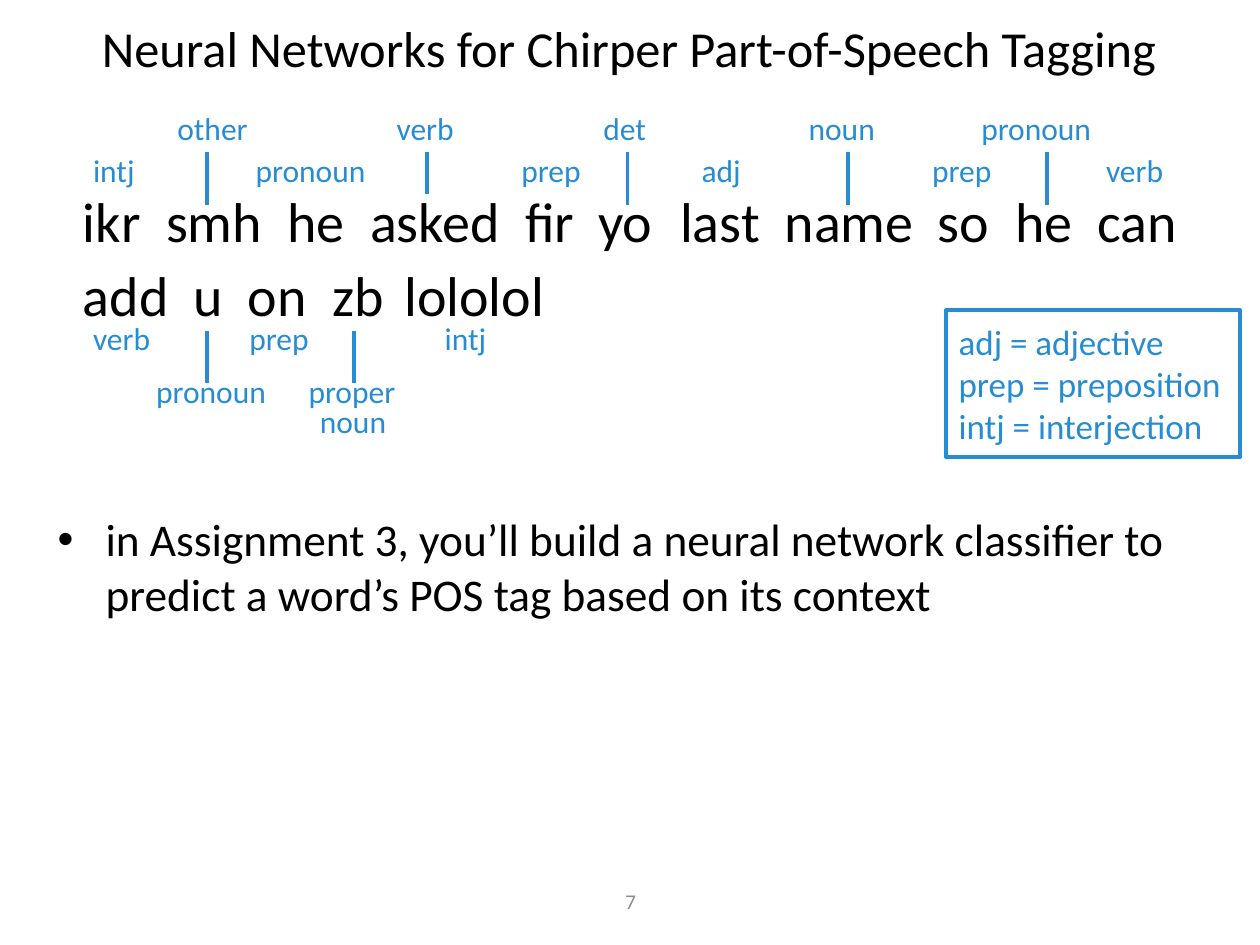
from lxml.etree import SubElement
from pptx import Presentation
from pptx.dml.color import RGBColor
from pptx.enum.shapes import MSO_CONNECTOR as CONNECTOR, MSO_SHAPE as SHAPE
from pptx.enum.text import MSO_ANCHOR as ANCHOR, PP_ALIGN as ALIGN
from pptx.oxml.ns import qn
from pptx.util import Inches, Pt

THEME = {
    "font": "Calibri",
    "black": RGBColor(0, 0, 0),
    "blue": RGBColor(0x28, 0x8C, 0xD2),
    "gray": RGBColor(0x8C, 0x8C, 0x8C),
    "title": Pt(28.8),
    "sentence": Pt(32),
    "body": Pt(25.9),
    "legend": Pt(20),
    "tag": Pt(18),
    "number": Pt(12),
    "line": Pt(2.25),
}


def fill_text(shape, text, size, color, align=ALIGN.LEFT, anchor=ANCHOR.TOP):
    text_frame = shape.text_frame
    text_frame.text = text
    text_frame.word_wrap = True
    text_frame.vertical_anchor = anchor
    for paragraph in text_frame.paragraphs:
        paragraph.alignment = align
        for run in paragraph.runs:
            run.font.name = THEME["font"]
            run.font.size = THEME[size]
            run.font.color.rgb = THEME[color]
    return text_frame.paragraphs


def add_tabbed_text(box, lines, size, color, spacing):
    shape = slide.shapes.add_textbox(*map(Inches, box))
    text = "\n".join("\t".join(words) for words, starts in lines)
    paragraphs = fill_text(shape, text, size, color)
    for paragraph, (words, starts) in zip(paragraphs, lines):
        paragraph.line_spacing = spacing
        tabs = SubElement(paragraph._p.get_or_add_pPr(), qn("a:tabLst"))
        for start in starts:
            position = Inches(start - box[0] - 0.1)
            SubElement(tabs, qn("a:tab"), pos=str(position), algn="l")
    return paragraphs


presentation = Presentation()
presentation.slide_width = Inches(10)
presentation.slide_height = Inches(7.5)
slide = presentation.slides.add_slide(presentation.slide_layouts[6])

title = slide.shapes.add_textbox(Inches(0.33), Inches(0), Inches(9.33), Inches(0.75))
fill_text(title, "Neural Networks for Chirper Part-of-Speech Tagging",
          "title", "black", ALIGN.CENTER, ANCHOR.MIDDLE)

sentence = [
    ("ikr smh he asked fir yo last name so he can".split(),
     [1.32, 2.28, 2.94, 4.17, 4.75, 5.4, 6.23, 7.44, 8.06, 8.71]),
    ("add u on zb lololol".split(), [1.54, 1.97, 2.64, 3.21]),
]
add_tabbed_text((0.56, 1.38, 9, 4.25), sentence, "sentence", "black", 1.1)

tag_rows = [
    ((1.31, 0.79, 8.17, 0.5), 1.1,
     [("other verb det noun pronoun".split(), [3.15, 4.79, 6.42, 7.79])]),
    ((0.64, 1.21, 9, 0.42), 0.8,
     [("intj pronoun prep adj prep verb".split(), [2.03, 4.14, 5.57, 7.4, 8.78])]),
    ((0.64, 2.54, 6.08, 0.5), 0.8,
     [("verb prep intj".split(), [1.98, 3.53])]),
    ((1.14, 2.96, 5.42, 0.58), 0.8,
     [("pronoun proper".split(), [2.45]), (["", "noun"], [2.54])]),
]
for box, spacing, lines in tag_rows:
    paragraphs = add_tabbed_text(box, lines, "tag", "blue", spacing)
    for paragraph in paragraphs[1:]:
        paragraph.line_spacing = 0.6
        paragraph.space_before = Pt(3.6)

legend = slide.shapes.add_shape(
    SHAPE.RECTANGLE, Inches(7.51), Inches(2.46), Inches(2.33), Inches(1.17))
legend.shadow.inherit = False
legend.fill.background()
legend.line.color.rgb = THEME["blue"]
legend.line.width = THEME["line"]
fill_text(legend, "adj = adjective\nprep = preposition\nintj = interjection",
          "legend", "blue", anchor=ANCHOR.MIDDLE)

tag_lines = [
    (1.64, 1.63, 1.21), (3.39, 1.54, 1.21), (4.98, 1.63, 1.21),
    (6.73, 1.63, 1.21), (8.31, 1.63, 1.21),
    (1.64, 3.04, 2.63), (2.81, 3.04, 2.63),
]
for x, bottom, top in tag_lines:
    connector = slide.shapes.add_connector(
        CONNECTOR.STRAIGHT, Inches(x), Inches(bottom), Inches(x), Inches(top))
    connector.line.color.rgb = THEME["blue"]
    connector.line.width = THEME["line"]
    SubElement(connector._element.spPr, qn("a:effectLst"))

assignment = slide.shapes.add_textbox(Inches(0.36), Inches(4.01), Inches(9), Inches(1.03))
paragraph = fill_text(
    assignment,
    "in Assignment 3, you’ll build a neural network classifier to "
    "predict a word’s POS tag based on its context",
    "body", "black")[0]
properties = paragraph._p.get_or_add_pPr()
properties.set("marL", str(Inches(0.38)))
properties.set("indent", str(Inches(-0.38)))
SubElement(properties, qn("a:buFont"), typeface="Arial")
SubElement(properties, qn("a:buChar"), char="•")

number = slide.shapes.add_textbox(Inches(3.42), Inches(6.95), Inches(3.17), Inches(0.4))
fill_text(number, "7", "number", "gray", ALIGN.CENTER, ANCHOR.MIDDLE)

presentation.save("out.pptx")
